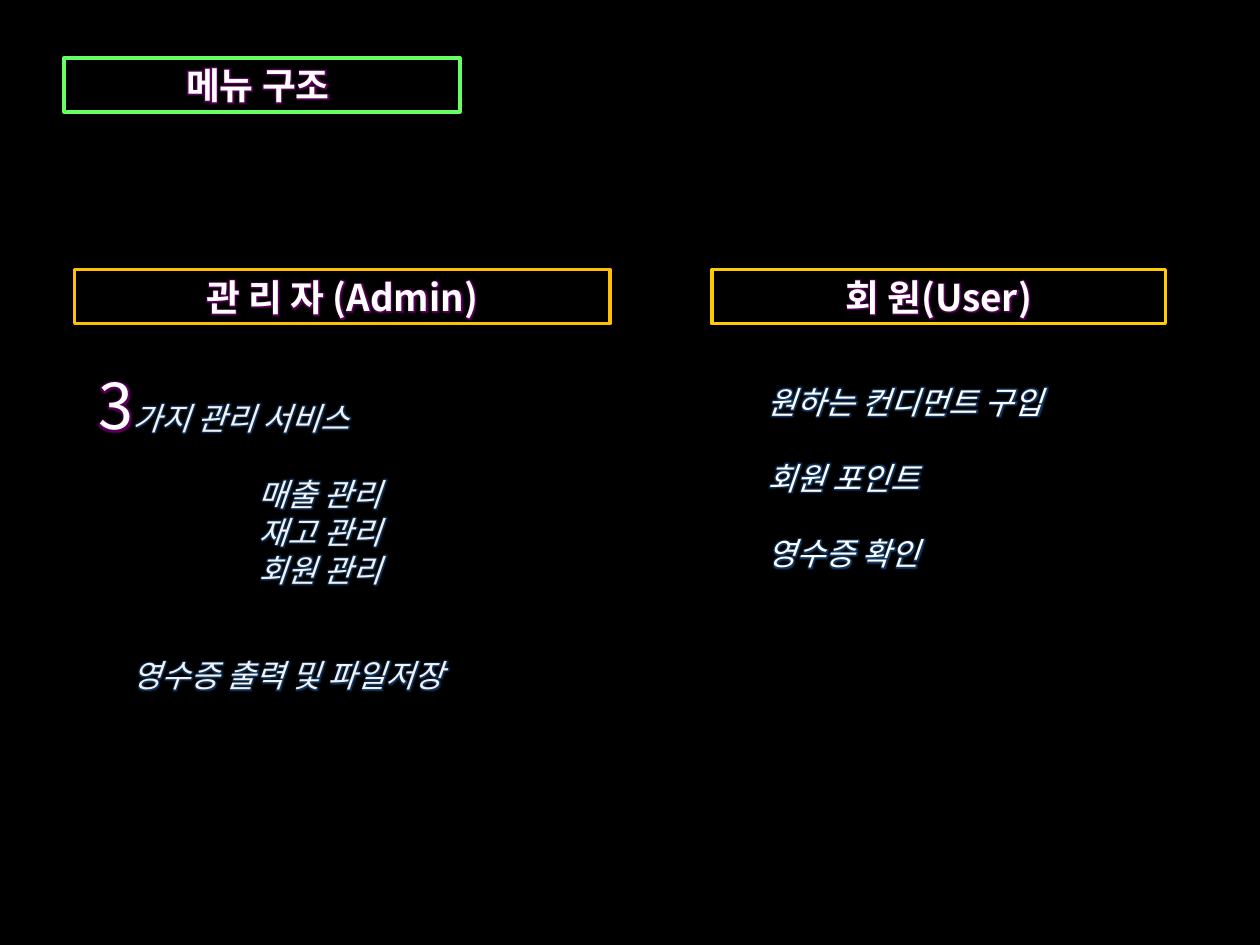
from lxml import etree
from pptx import Presentation
from pptx.dml.color import RGBColor
from pptx.enum.shapes import MSO_SHAPE as SHAPE
from pptx.enum.text import MSO_ANCHOR as ANCHOR, PP_ALIGN as ALIGN
from pptx.oxml.ns import qn
from pptx.util import Inches, Pt

FONT = "Noto Sans CJK KR"
BLACK = RGBColor(0x00, 0x00, 0x00)
WHITE = RGBColor(0xFF, 0xFF, 0xFF)
PALE = RGBColor(0xF2, 0xF2, 0xF2)
GREEN = RGBColor(0x66, 0xFF, 0x66)
AMBER = RGBColor(0xFF, 0xC0, 0x00)
YELLOW = RGBColor(0xFF, 0xCC, 0x00)
PURPLE = RGBColor(0x99, 0x00, 0x99)
BLUE = RGBColor(0x1F, 0x5F, 0xA8)

LINE = 21.6
HEADINGS = [
    ("관 리 자 (Admin)", 0.59, 2.14, 4.25, AMBER),
    ("회 원(User)", 5.65, 2.14, 3.6, YELLOW),
    ("메뉴 구조 ", 0.51, 0.46, 3.14, GREEN),
]
USER_ITEMS = [
    ("원하는 컨디먼트 구입", 0, 0),
    ("회원 포인트", LINE, 0),
    ("영수증 확인", LINE, 0),
]
ADMIN_ITEMS = [
    ("가지 관리 서비스", 0, 0),
    ("매출 관리", LINE, 1),
    ("재고 관리", 0, 1),
    ("회원 관리", 0, 1),
    ("영수증 출력 및 파일저장", 38.4, 0),
]


def write(p, text, size=18, color=WHITE, glow=BLUE, bold=False, italic=False,
          align=ALIGN.LEFT, spacing=None, before=0, indent=0):
    p.alignment = align
    p.space_before = Pt(before)
    if spacing:
        p.line_spacing = Pt(spacing)
    if indent:
        p._p.get_or_add_pPr().set("marL", str(Inches(indent)))
    r = p.add_run()
    r.text = text
    r.font.size = Pt(size)
    r.font.bold = bold
    r.font.italic = italic
    r.font.color.rgb = color
    rPr = r._r.get_or_add_rPr()
    effects = etree.SubElement(rPr, qn("a:effectLst"))
    halo = etree.SubElement(effects, qn("a:glow"), rad=str(Pt(4)))
    tint = etree.SubElement(halo, qn("a:srgbClr"), val=str(glow))
    etree.SubElement(tint, qn("a:alpha"), val="60000")
    r.font.name = FONT
    etree.SubElement(rPr, qn("a:ea"), typeface=FONT)


def add_heading(s, text, x, y, w, color):
    sp = s.shapes.add_shape(SHAPE.RECTANGLE, Inches(x), Inches(y),
                            Inches(w), Inches(0.43))
    sp.shadow.inherit = False
    sp.fill.background()
    sp.line.color.rgb = color
    sp.line.width = Pt(2)
    tf = sp.text_frame
    tf.vertical_anchor = ANCHOR.MIDDLE
    write(tf.paragraphs[0], text, size=21, glow=PURPLE, bold=True,
          align=ALIGN.CENTER)


def add_text(s, items, x, y, w, h, **style):
    tf = s.shapes.add_textbox(Inches(x), Inches(y), Inches(w),
                              Inches(h)).text_frame
    tf.word_wrap = True
    for i, (text, before, indent) in enumerate(items):
        p = tf.add_paragraph() if i else tf.paragraphs[0]
        write(p, text, before=before, indent=indent, **style)


def main():
    prs = Presentation()
    prs.slide_width, prs.slide_height = Inches(10), Inches(7.5)
    s = prs.slides.add_slide(prs.slide_layouts[6])
    s.background.fill.solid()
    s.background.fill.fore_color.rgb = BLACK
    add_text(s, USER_ITEMS, 5.99, 2.99, 2.92, 1.88, italic=True, spacing=LINE)
    add_text(s, ADMIN_ITEMS, 0.95, 3.12, 3.34, 2.69, italic=True, color=PALE,
             align=ALIGN.JUSTIFY, spacing=LINE)
    add_text(s, [("3", 0, 0)], 0.68, 2.81, 0.39, 0.71, size=36, glow=PURPLE,
             spacing=47)
    for heading in HEADINGS:
        add_heading(s, *heading)
    prs.save("out.pptx")


if __name__ == "__main__":
    main()
